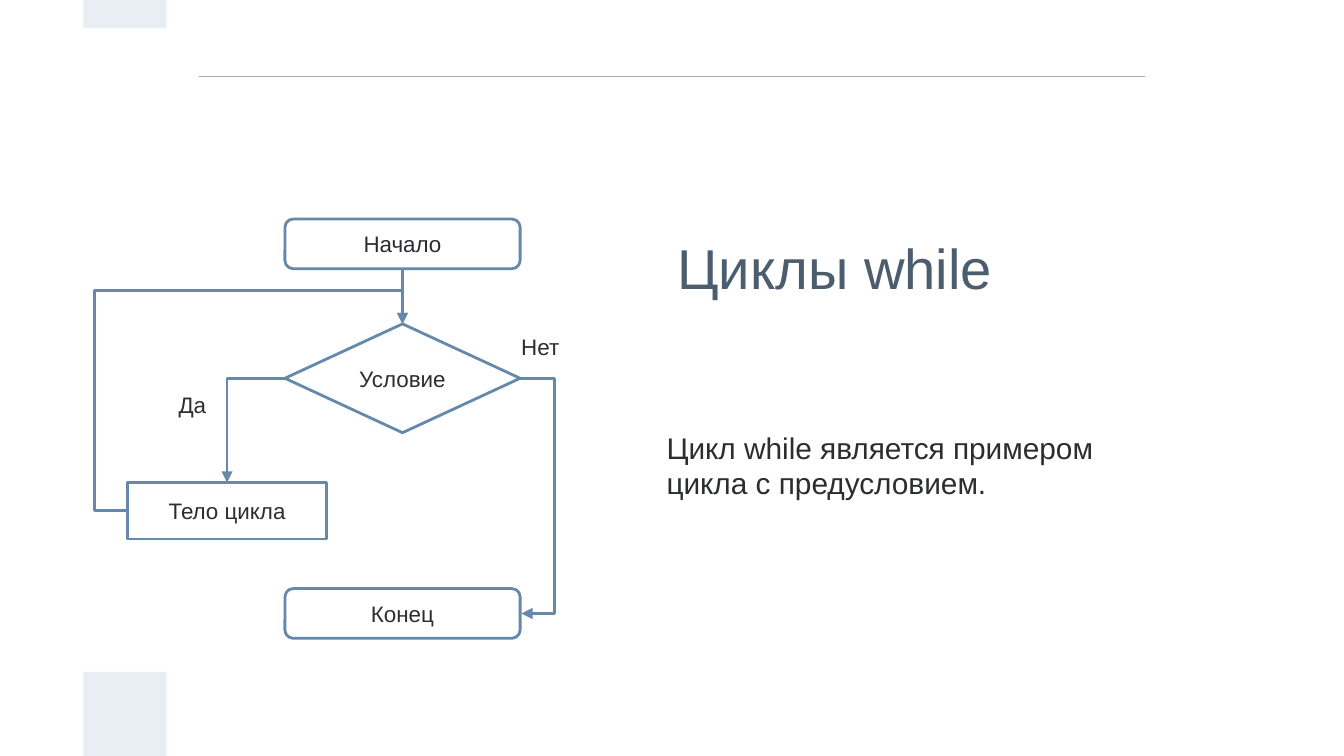
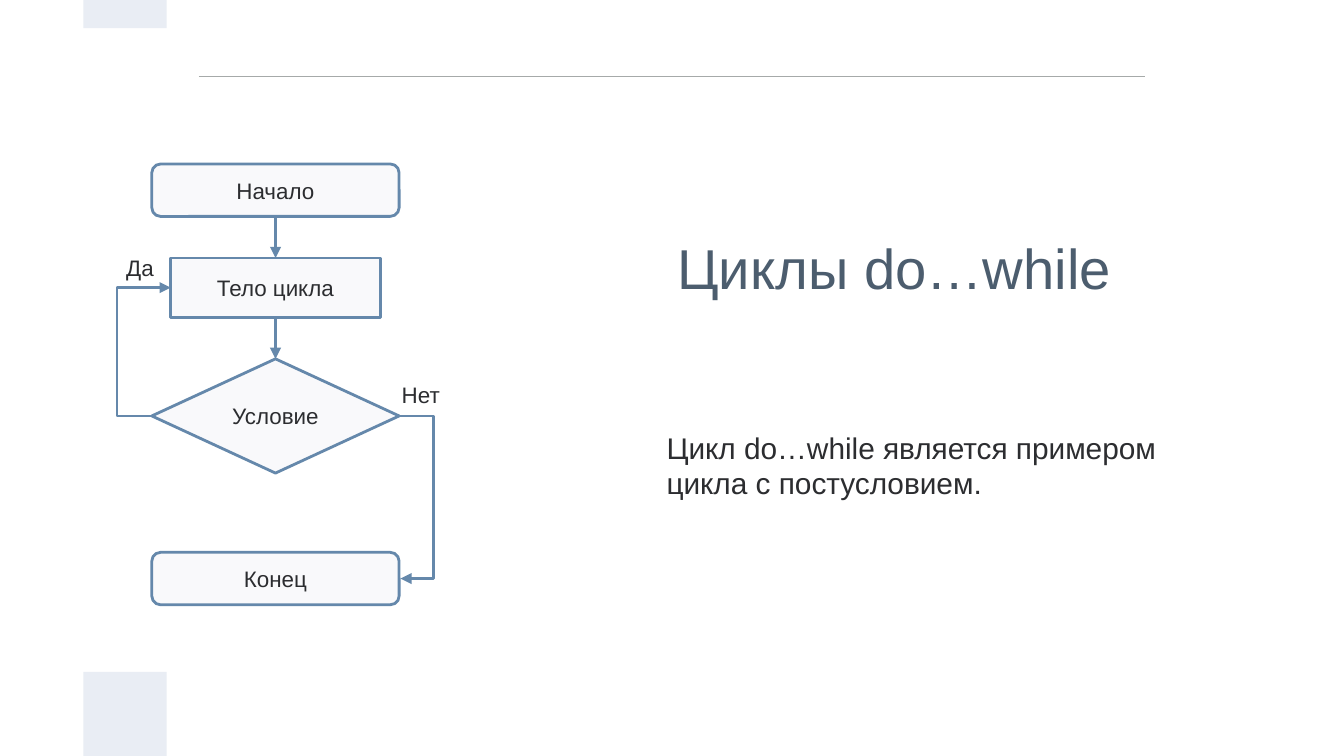
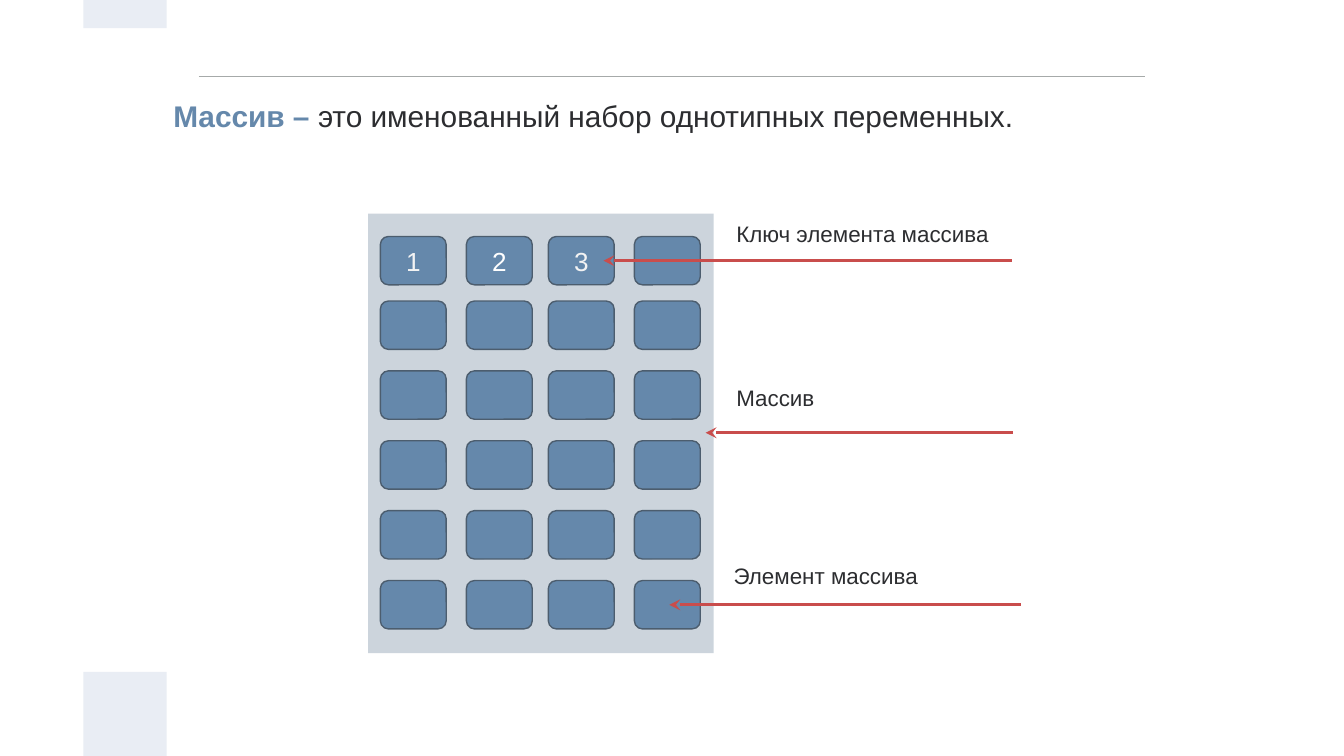
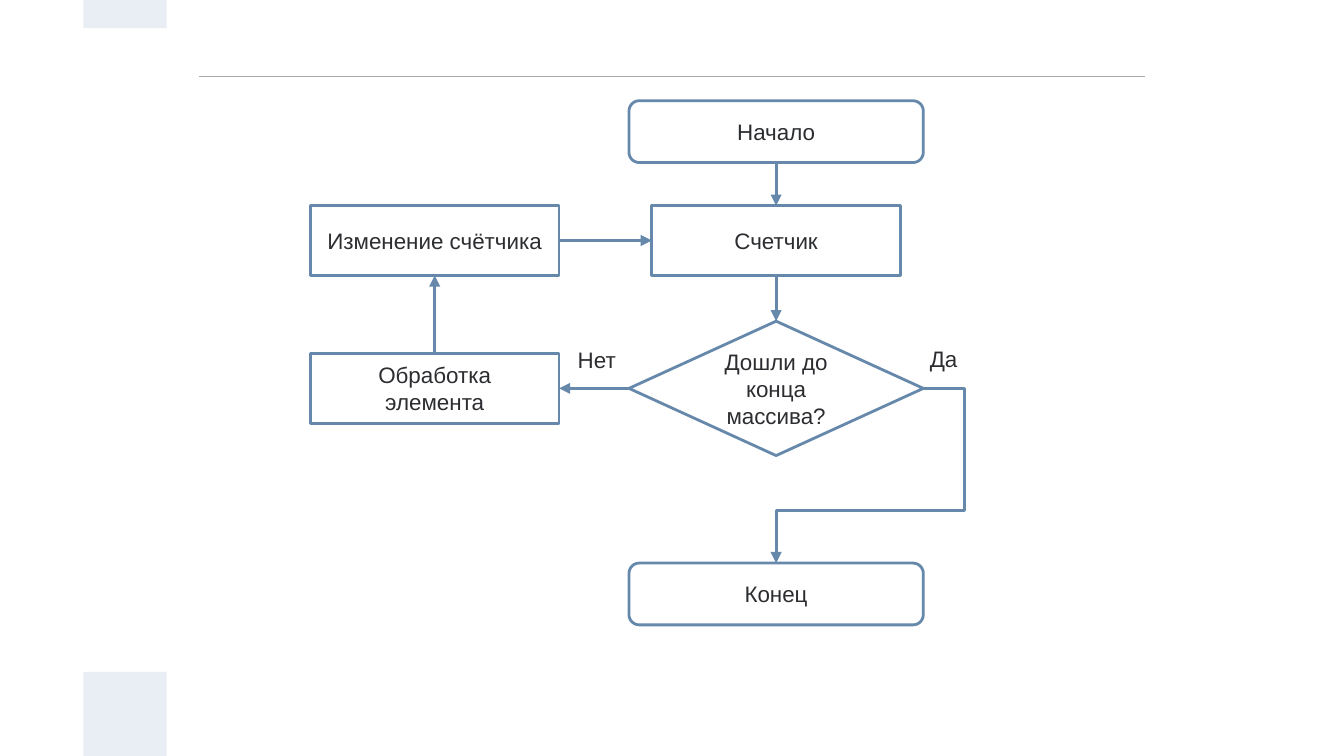
from lxml.etree import SubElement
from pptx import Presentation
from pptx.dml.color import RGBColor
from pptx.enum.shapes import MSO_CONNECTOR, MSO_SHAPE
from pptx.enum.text import MSO_ANCHOR, MSO_AUTO_SIZE, PP_ALIGN
from pptx.oxml.ns import qn
from pptx.util import Emu, Pt

SCALE = 9144  # EMU in one px, 100 px to the inch
FONT = "Arial"
COLORS = {
    "band": "E9EDF4", "rule": "A6AAA9", "title": "4C5D6E", "text": "2C2D30",
    "blue": "6588AB", "pale": "F9F9FB", "panel": "CCD4DC", "red": "C94D4C",
    "white": "FFFFFF", "snow": "F3F3F3",
}
RECT, ROUND, DIAMOND = MSO_SHAPE.RECTANGLE, MSO_SHAPE.ROUNDED_RECTANGLE, MSO_SHAPE.DIAMOND
TOP, LEFT, BOTTOM, RIGHT = range(4)
TITLE_ONLY, BLANK = 5, 6


def px(*vals):
    return [Emu(val * SCALE) for val in vals]


def rgb(name):
    return RGBColor.from_string(COLORS[name])


def site(shape, side):
    """Middle of one side of a shape."""
    mid_x, mid_y = shape.left + shape.width // 2, shape.top + shape.height // 2
    return ((mid_x, shape.top), (shape.left, mid_y),
            (mid_x, shape.top + shape.height), (shape.left + shape.width, mid_y))[side]


class Deck:
    def __init__(self):
        self.prs = Presentation()
        self.prs.slide_width = px(1000)[0]
        self.prs.slide_height = self.prs.slide_width * 9 // 16
        self.slide = None

    def start(self, title=None):
        first = self.slide is None
        layout = self.prs.slide_layouts[BLANK if title is None else TITLE_ONLY]
        self.slide = self.prs.slides.add_slide(layout)
        if first:
            self.frame()
        if title is not None:
            self.title(title)

    def frame(self):
        """Rule and bands, placed on the master behind its placeholders."""
        parts = [self.line((148, 57), (852, 57), "rule", 0.75),
                 self.box(RECT, (62, 500, 62, 63), fill="band"),
                 self.box(RECT, (62, 0, 62, 21), fill="band")]
        tree = self.prs.slide_master.shapes._spTree
        for num, part in enumerate(parts):
            part._element.xpath(".//p:cNvPr")[0].set("id", str(90 + num))
            tree.insert(2 + num, part._element)

    def fill_text(self, frame, text, size, color, pad, align=PP_ALIGN.LEFT,
                  anchor=MSO_ANCHOR.MIDDLE):
        frame.word_wrap = True
        frame.auto_size = MSO_AUTO_SIZE.NONE
        frame.vertical_anchor = anchor
        frame.margin_left, frame.margin_top, frame.margin_right, frame.margin_bottom = px(*pad)
        frame.text = text
        for para in frame.paragraphs:
            para.alignment = align
            para.font.name, para.font.size = FONT, Pt(size)
            para.font.color.rgb = rgb(color)

    def title(self, text):
        shape = self.slide.shapes.title
        shape.left, shape.top, shape.width, shape.height = px(491, 154, 374, 89)
        self.fill_text(shape.text_frame, text, 30.1, "title", (13,) * 4)

    def text(self, at, text, size=16, pad=(5,) * 4, anchor=MSO_ANCHOR.TOP):
        shape = self.slide.shapes.add_textbox(*px(*at))
        self.fill_text(shape.text_frame, text, size, "text", pad, anchor=anchor)
        return shape

    def body(self, text):
        self.text((491, 217, 383, 258), text, anchor=MSO_ANCHOR.MIDDLE)

    def label(self, at, text, top=5):
        self.text(at, text, 12, (10, top, 0, top))

    def box(self, kind, at, text="", fill=None, line=None, width=1.5,
            size=12, color="text", pad=(10, 5, 10, 5)):
        shape = self.slide.shapes.add_shape(kind, *px(*at))
        shape.shadow.inherit = False
        if fill:
            shape.fill.solid()
            shape.fill.fore_color.rgb = rgb(fill)
        else:
            shape.fill.background()
        if line:
            shape.line.color.rgb = rgb(line)
            shape.line.width = Pt(width)
        else:
            shape.line.fill.background()
        if text:
            self.fill_text(shape.text_frame, text, size, color, pad, PP_ALIGN.CENTER)
        return shape

    def node(self, kind, at, text, fill=None):
        return self.box(kind, at, text, fill, "blue")

    def wire(self, kind, start, end, color, width, tip=None, mark="triangle"):
        wire = self.slide.shapes.add_connector(kind, *start, *end)
        wire.line.color.rgb = rgb(color)
        wire.line.width = Pt(width)
        if tip:
            SubElement(wire.line._get_or_add_ln(), qn("a:" + tip)).set("type", mark)
        SubElement(wire._element.spPr, qn("a:effectLst"))
        return wire

    def line(self, start, end, color, width=1.5, tip=None):
        return self.wire(MSO_CONNECTOR.STRAIGHT, px(*start), px(*end), color, width,
                         tip, "stealth")

    def join(self, start, out, end, into, kind=MSO_CONNECTOR.STRAIGHT):
        wire = self.wire(kind, site(start, out), site(end, into), "blue", 1.5, "tailEnd")
        wire.begin_connect(start, out)
        wire.end_connect(end, into)
        return wire

    def bend(self, start, out, end, into, turns, *adjs):
        """Elbow with the given preset number; each adj is a share of width or height."""
        wire = self.join(start, out, end, into, MSO_CONNECTOR.ELBOW)
        if wire.width == 0:
            wire.width = px(1)[0]  # adj needs a width to scale
        props = wire._element.spPr
        xfrm = props.find(qn("a:xfrm"))
        if xfrm.get("flipV"):  # the same turn as a half rotation and a flip
            del xfrm.attrib["flipV"]
            xfrm.set("flipH", "1")
            xfrm.set("rot", "10800000")
        geom = props.find(qn("a:prstGeom"))
        geom.set("prst", f"bentConnector{turns}")
        guides = geom.find(qn("a:avLst"))
        if guides is None:
            guides = SubElement(geom, qn("a:avLst"))
        for num, adj in enumerate(adjs, 1):
            guide = SubElement(guides, qn("a:gd"))
            guide.set("name", f"adj{num}")
            guide.set("fmla", f"val {round(adj * 100000)}")


def while_loop(deck):
    deck.start("Циклы while")
    deck.body("Цикл while является примером цикла с предусловием.")
    # Flow chart
    begin = deck.node(ROUND, (212, 163, 175, 37), "Начало")
    test = deck.node(DIAMOND, (212, 241, 175, 81), "Условие")
    work = deck.node(RECT, (95, 359, 148, 42), "Тело цикла")
    stop = deck.node(ROUND, (212, 438, 175, 37), "Конец")
    deck.bend(test, LEFT, work, TOP, 2)
    deck.bend(test, RIGHT, stop, RIGHT, 3, 26)
    deck.bend(work, LEFT, test, TOP, 4, -0.12, 1.18)
    deck.join(begin, BOTTOM, test, TOP)
    deck.label((123, 286, 55, 25), "Да")
    deck.label((378, 243, 65, 29), "Нет")


def do_loop(deck):
    deck.start("Циклы do…while")
    deck.body("Цикл do…while является примером цикла с постусловием.")
    # Flow chart
    begin = deck.node(ROUND, (113, 122, 184, 39), "Начало", "pale")
    test = deck.node(DIAMOND, (113, 267, 184, 85), "Условие", "pale")
    work = deck.node(RECT, (127, 192, 156, 44), "Тело цикла", "pale")
    stop = deck.node(ROUND, (113, 411, 184, 39), "Конец", "pale")
    deck.bend(test, RIGHT, stop, RIGHT, 3, 26)
    deck.label((84, 184, 41, 30), "Да")
    deck.label((289, 279, 49, 30), "Нет")
    deck.join(begin, BOTTOM, work, TOP)
    deck.join(work, BOTTOM, test, TOP)
    deck.bend(test, LEFT, work, LEFT, 3, -1.85)


def array(deck):
    deck.start()
    # Definition
    term, rest = "Массив – ", "это именованный набор однотипных переменных."
    para = deck.text((124, 68, 750, 54), term).text_frame.paragraphs[0]
    para.runs[0].font.bold = True
    para.runs[0].font.color.rgb = rgb("blue")
    para.add_run().text = rest
    # Grid of elements
    deck.box(RECT, (274, 159, 257, 327), fill="panel")
    keys = {(0, 0): ("1", "snow"), (0, 1): ("2", "white"), (0, 2): ("3", "snow")}
    for row, top in enumerate([176, *range(224, 433, 52)]):
        for col, left in enumerate([283, 347, 408, 472]):
            text, color = keys.get((row, col), ("", "white"))
            deck.box(ROUND, (left, top, 49, 36), text, "blue", "title", 0.75,
                     14, color, (10,) * 4)
    # Callouts
    for tip, end, y, left, top, text in [
        (449, 753, 194, 538, 154, "Ключ элемента массива"),
        (525, 754, 322, 538, 276, "Массив"),
        (498, 760, 450, 536, 408, "Элемент массива"),
    ]:
        deck.line((tip, y), (end, y), "red", tip="headEnd")
        deck.label((left, top, 219, 36), text, 10)


def scan(deck):
    deck.start()
    # Steps
    begin = deck.node(ROUND, (468, 75, 219, 46), "Начало")
    test = deck.node(DIAMOND, (468, 239, 219, 100), "Дошли до конца массива?")
    work = deck.node(RECT, (231, 263, 185, 52), "Обработка\nэлемента")
    stop = deck.node(ROUND, (468, 419, 219, 46), "Конец")
    deck.label((420, 253, 58, 36), "Нет")
    deck.label((682, 252, 49, 36), "Да")
    count = deck.node(RECT, (485, 153, 185, 52), "Счетчик")
    change = deck.node(RECT, (231, 153, 185, 52), "Изменение счётчика")
    # Arrows
    deck.join(begin, BOTTOM, count, TOP)
    deck.join(count, BOTTOM, test, TOP)
    deck.join(test, LEFT, work, RIGHT)
    deck.bend(test, RIGHT, stop, TOP, 4, -0.28, 0.7)
    deck.join(work, TOP, change, BOTTOM)
    deck.join(change, RIGHT, count, LEFT)


def main():
    deck = Deck()
    for draw in (while_loop, do_loop, array, scan):
        draw(deck)
    deck.prs.save("out.pptx")


if __name__ == "__main__":
    main()
